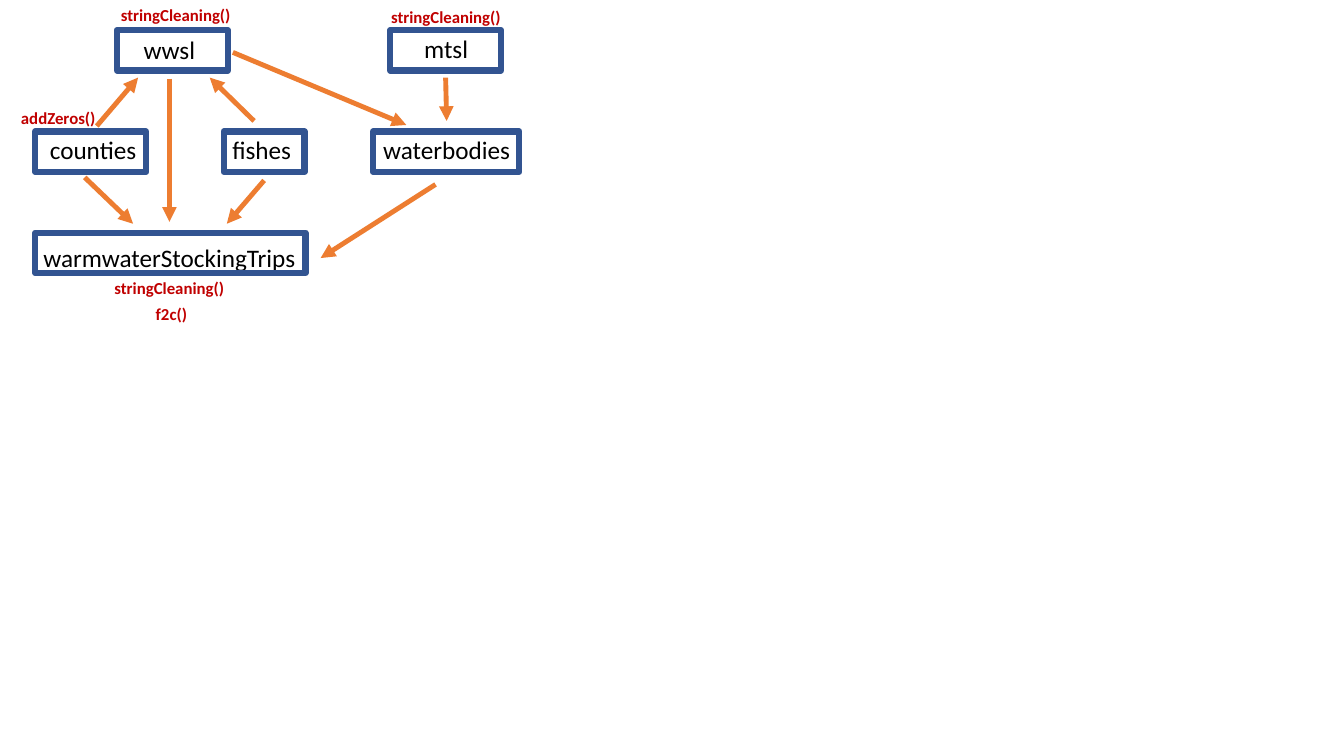
"""Build a slide showing how the warmwater stocking tables feed each other."""
from lxml.etree import SubElement
from pptx import Presentation
from pptx.dml.color import RGBColor
from pptx.enum.shapes import MSO_CONNECTOR as Connector, MSO_SHAPE as Shape
from pptx.enum.text import MSO_AUTO_SIZE as AutoSize, PP_ALIGN as Align
from pptx.oxml.ns import qn
from pptx.util import Inches, Pt

COLORS = {"table": "000000", "function": "C00000", "frame": "325491", "flow": "ED7D31"}
FONT = "Calibri"
ROW_TOPS = [0.3 + 1.005 * row for row in range(3)]
ROW_HEIGHT = 0.4
FUNCTION_HEIGHT = 0.3

deck = Presentation()
deck.slide_width, deck.slide_height = Inches(13.33), Inches(7.5)
slide = deck.slides.add_slide(deck.slide_layouts[6])


def color(role):
    return RGBColor.from_string(COLORS[role])


def add_label(words, left, top, width, height, role, size, align, wrap=True):
    label = slide.shapes.add_textbox(*map(Inches, (left, top, width, height)))
    frame = label.text_frame
    frame.word_wrap = wrap
    frame.auto_size = AutoSize.SHAPE_TO_FIT_TEXT
    paragraph = frame.paragraphs[0]
    paragraph.alignment = align
    run = paragraph.add_run()
    run.text = words
    run.font.name = FONT
    run.font.size = Pt(size)
    run.font.bold = role == "function"
    run.font.color.rgb = color(role)


table_names = [
    ("wwsl", 0.18, 0, -0.01, 3, Align.CENTER),
    ("warmwaterStockingTrips", 0.18, 2, 0.05, 3, Align.CENTER),
    ("counties", 0.35, 1, -0.02, 1.1, Align.RIGHT),
    ("fishes", 2.17, 1, -0.02, 0.85, Align.CENTER),
    ("mtsl", 3.7, 0, -0.02, 1.45, Align.CENTER),
    ("waterbodies", 3.7, 1, -0.02, 1.46, Align.CENTER),
]
for name, left, row, shift, width, align in table_names:
    add_label(name, left, ROW_TOPS[row] + shift, width, ROW_HEIGHT, "table", 18, align)

table_frames = [
    (1.16, 0, 1.1), (3.7, 1, 1.45), (2.22, 1, 0.8),
    (0.35, 2, 2.68), (3.87, 0, 1.1), (0.35, 1, 1.1),
]
for left, row, width in table_frames:
    border = slide.shapes.add_shape(
        Shape.RECTANGLE, *map(Inches, (left, ROW_TOPS[row], width, ROW_HEIGHT)))
    border.shadow.inherit = False
    border.fill.background()
    border.line.color.rgb = color("frame")
    border.line.width = Pt(4.5)

flows = {
    "fishes to wwsl": (2.52, 1.2, 2.08, 0.77),
    "wwsl to trips": (1.68, 0.78, 1.68, 2.2),
    "counties to wwsl": (0.96, 1.25, 1.37, 0.77),
    "counties to trips": (0.84, 1.76, 1.32, 2.22),
    "fishes to trips": (2.62, 1.79, 2.25, 2.22),
    "mtsl to waterbodies": (4.42, 0.77, 4.43, 1.2),
    "waterbodies to trips": (4.32, 1.83, 3.18, 2.56),
    "wwsl to waterbodies": (2.31, 0.52, 4.03, 1.24),
}
for ends in flows.values():
    flow = slide.shapes.add_connector(Connector.STRAIGHT, *map(Inches, ends))
    flow.line.color.rgb = color("flow")
    flow.line.width = Pt(3.5)
    SubElement(flow.line._get_or_add_ln(), qn("a:tailEnd"), type="triangle")
    SubElement(flow._element.spPr, qn("a:effectLst"))

function_calls = [
    ("stringCleaning()", 1.1, 0, 1.31, Align.LEFT, False),
    ("stringCleaning()", 3.78, 0.02, 1.31, Align.LEFT, False),
    ("stringCleaning()", 0.18, 2.71, 3, Align.CENTER, True),
    ("f2c()", 0.21, 2.96, 2.98, Align.CENTER, True),
    ("addZeros()", 0.11, 1.02, 0.95, Align.LEFT, False),
]
for call, left, top, width, align, wrap in function_calls:
    add_label(call, left, top, width, FUNCTION_HEIGHT, "function", 12, align, wrap)

deck.save("out.pptx")
